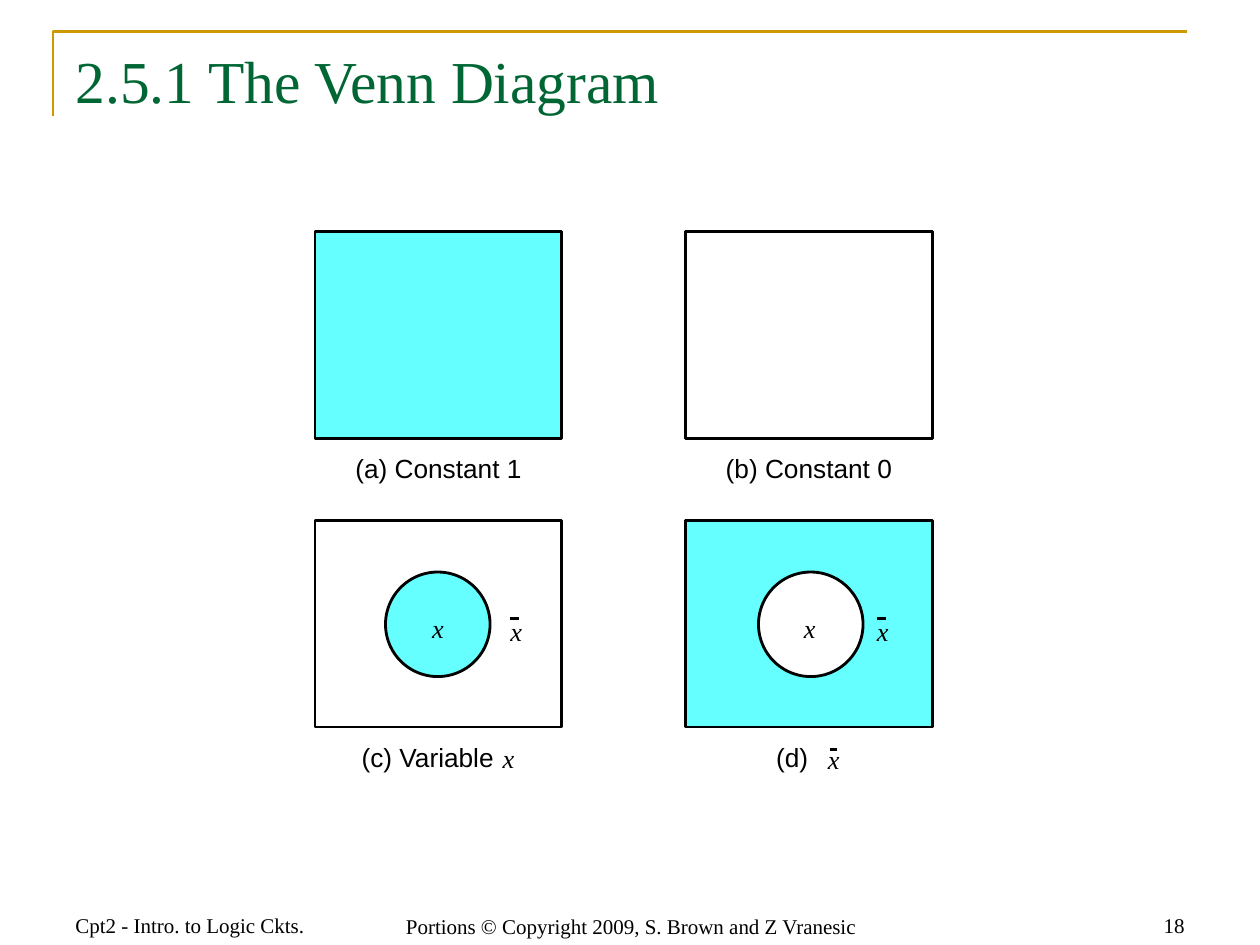
import pptx
import pptx.dml.color
import pptx.enum.shapes
import pptx.enum.text
import pptx.oxml
import pptx.util
from pptx.util import Inches

ALIGN = pptx.enum.text.PP_ALIGN
ANCHOR = pptx.enum.text.MSO_ANCHOR
SHAPE = pptx.enum.shapes.MSO_SHAPE

SERIF, SANS = "Times New Roman", "Arial"
BLACK, WHITE, CYAN = "000000", "FFFFFF", "66FFFF"
GREEN, GOLD = "006633", "CC9900"


def color(value):
    return pptx.dml.color.RGBColor.from_string(value)


class VennSlide:
    line_width = 1.62
    label_size = 15
    footer_size = 12

    def __init__(self, presentation):
        self.slide = presentation.slides.add_slide(presentation.slide_layouts[5])
        self.shapes = self.slide.shapes

    def set_font(self, paragraph, name, size, value=BLACK, italic=False):
        font = paragraph.font
        font.name, font.size, font.italic = name, pptx.util.Pt(size), italic
        font.color.rgb = color(value)

    def set_line(self, shape, value=BLACK, width=line_width):
        shape.line.color.rgb = color(value)
        shape.line.width = pptx.util.Pt(width)

    def title(self, text):
        title = self.shapes.title
        title.left, title.top = Inches(0.5), Inches(0.3)
        title.width, title.height = Inches(9), Inches(1.25)
        frame = title.text_frame
        frame.text = text
        frame.vertical_anchor = ANCHOR.TOP
        frame.paragraphs[0].alignment = ALIGN.LEFT
        self.set_font(frame.paragraphs[0], SERIF, 34, GREEN)

    def corner_rule(self, left, top, right, bottom):
        builder = self.shapes.build_freeform(Inches(left), Inches(bottom))
        builder.add_line_segments(
            [(Inches(left), Inches(top)), (Inches(right), Inches(top))], close=False)
        rule = builder.convert_to_shape()
        rule.shadow.inherit = False
        rule.fill.background()
        self.set_line(rule, GOLD, 1.5)

    def area(self, kind, left, top, width, height, fill):
        shape = self.shapes.add_shape(
            kind, Inches(left), Inches(top), Inches(width), Inches(height))
        shape.shadow.inherit = False
        if fill:
            shape.fill.solid()
            shape.fill.fore_color.rgb = color(fill)
        else:
            shape.fill.background()
        self.set_line(shape)

    def footer(self, text, left, top, width, alignment):
        box = self.shapes.add_textbox(
            Inches(left), Inches(top), Inches(width), Inches(0.5))
        frame = box.text_frame
        frame.text = text
        frame.word_wrap = True
        frame.vertical_anchor = ANCHOR.BOTTOM
        frame.paragraphs[0].alignment = alignment
        self.set_font(frame.paragraphs[0], SERIF, self.footer_size)

    def label(self, text, left, top, width, name=SANS, italic=False):
        box = self.shapes.add_textbox(
            Inches(left), Inches(top), Inches(width), Inches(0.25))
        frame = box.text_frame
        frame.text = text
        frame.word_wrap = False
        frame.auto_size = pptx.enum.text.MSO_AUTO_SIZE.SHAPE_TO_FIT_TEXT
        frame.margin_left = frame.margin_right = 0
        frame.margin_top = frame.margin_bottom = 0
        self.set_font(frame.paragraphs[0], name, self.label_size, italic=italic)

    def variable(self, left, top):
        self.label("x", left, top, 0.16, SERIF, italic=True)

    def bar(self, left, right, top):
        connector = self.shapes.add_connector(
            pptx.enum.shapes.MSO_CONNECTOR.STRAIGHT,
            Inches(left), Inches(top), Inches(right), Inches(top))
        self.set_line(connector)
        properties = connector.element.spPr
        properties.append(pptx.oxml.parse_xml(
            '<a:effectLst xmlns:a="http://schemas.openxmlformats.org/drawingml/2006/main"/>'))


def main():
    presentation = pptx.Presentation()
    presentation.slide_width, presentation.slide_height = Inches(10), Inches(7.5)
    venn = VennSlide(presentation)

    # Heading and footer
    venn.corner_rule(0.42, 0.25, 9.42, 0.92)
    venn.title("2.5.1 The Venn Diagram")
    venn.footer("Cpt2 - Intro. to Logic Ckts.", 0.5, 6.99, 2.33, ALIGN.LEFT)
    venn.footer("Portions © Copyright 2009, S. Brown and Z Vranesic",
                2.83, 7, 4.36, ALIGN.CENTER)
    venn.footer("18", 7.17, 6.99, 2.33, ALIGN.RIGHT)

    # Universe rectangles with captions: column, row, fill, caption, offset, width
    columns, rows = (2.5, 5.44), (1.84, 4.13)
    panels = [
        (0, 0, CYAN, "(a) Constant 1", 0.32, 1.32),
        (1, 0, None, "(b) Constant 0", 0.32, 1.32),
        (0, 1, None, "(c) Variable", 0.37, 1.07),
        (1, 1, CYAN, "(d)", 0.72, 0.31),
    ]
    for column, row, fill, caption, offset, width in panels:
        left, top = columns[column], rows[row]
        venn.area(SHAPE.RECTANGLE, left, top, 1.96, 1.64, fill)
        venn.label(caption, left + offset, top + 1.75, width)

    # Circles for x, with the complement outside: circle, x and complement positions
    for circle, inside, outside, fill in [(3.06, 3.43, 4.05, CYAN),
                                          (6.02, 6.38, 6.96, WHITE)]:
        venn.area(SHAPE.OVAL, circle, 4.54, 0.83, 0.83, fill)
        venn.variable(inside, 4.86)
        venn.variable(outside, 4.88)
        venn.bar(outside, outside + 0.07, 4.91)

    # Variables in the lower captions
    venn.variable(3.99, 5.89)
    venn.variable(6.57, 5.9)
    venn.bar(6.59, 6.64, 5.95)

    presentation.save("out.pptx")


if __name__ == "__main__":
    main()
